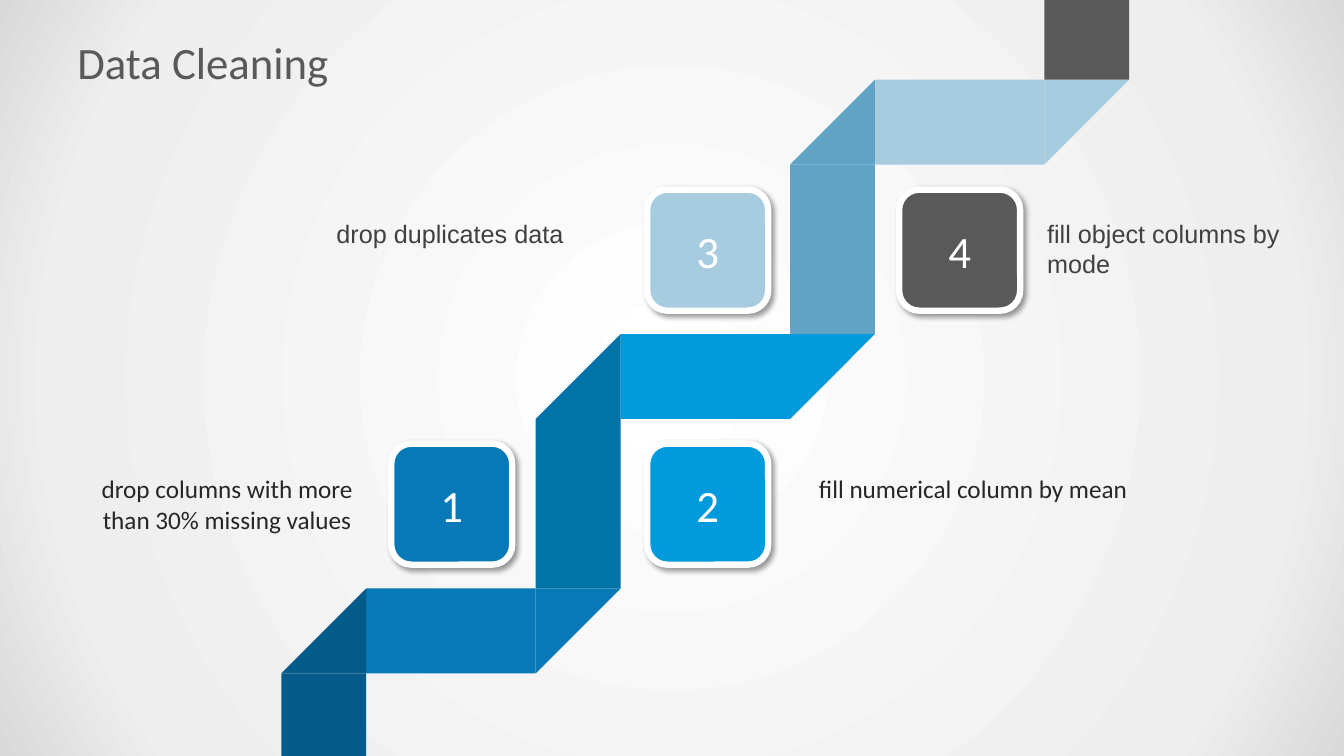
from dataclasses import dataclass

from pptx import Presentation
from pptx.dml.color import RGBColor
from pptx.enum.shapes import MSO_SHAPE as SHAPE
from pptx.enum.text import MSO_ANCHOR as ANCHOR, PP_ALIGN as ALIGN
from pptx.oxml import parse_xml
from pptx.oxml.ns import nsdecls, qn
from pptx.util import Cm, Pt


@dataclass(frozen=True)
class Theme:
    white: str = "FFFFFF"
    black: str = "000000"
    grey: str = "595959"
    ink: str = "262626"
    soft_ink: str = "404040"
    treads: tuple = ("0779B7", "019ADD", "A7CCDF")
    risers: tuple = ("055B89", "0173A6", "60A3C5")
    backdrop: tuple = ((0, "FFFFFF"), (81, "EEEEEE"), (100, "D9D9D9"))
    head_size: int = 32
    label_size: int = 18
    main_font: str = "Calibri"
    alt_font: str = "Arial"


THEME = Theme()
WIDTH, HEIGHT = 33.87, 19.05
BAND, STEP = 2.14, 6.41
STAIR_LEFT, STAIR_TOP = 7.09, 14.83
BADGE = 3.05


def set_backdrop(s):
    s.background.fill.gradient()
    stops = "".join(
        f'<a:gs pos="{pos * 1000}"><a:srgbClr val="{color}"/></a:gs>'
        for pos, color in THEME.backdrop
    )
    radial = parse_xml(
        f'<a:gradFill rotWithShape="1" {nsdecls("a")}><a:gsLst>{stops}</a:gsLst>'
        '<a:path path="circle"><a:fillToRect l="50000" t="50000" r="50000" b="50000"/>'
        "</a:path></a:gradFill>"
    )
    linear = s.element.find(".//" + qn("a:gradFill"))
    linear.getparent().replace(linear, radial)


def add_block(shapes, kind, x, y, w, h, color, flip=None):
    sp = shapes.add_shape(kind, Cm(x), Cm(y), Cm(w), Cm(h))
    sp.shadow.inherit = False
    sp.fill.solid()
    sp.fill.fore_color.rgb = RGBColor.from_string(color)
    sp.line.fill.background()
    if flip:
        sp.element.spPr.find(qn("a:xfrm")).set(flip, "1")
    return sp


def add_flight(s, x, y, tread, riser):
    run = STEP - BAND
    rise = min(run, HEIGHT - y - BAND)
    shapes = s.shapes.add_group_shape().shapes
    add_block(shapes, SHAPE.RECTANGLE, x + BAND, y, run, BAND, tread)
    add_block(shapes, SHAPE.RIGHT_TRIANGLE, x + STEP, y, BAND, BAND, tread, "flipV")
    shapes = s.shapes.add_group_shape().shapes
    add_block(shapes, SHAPE.RIGHT_TRIANGLE, x, y, BAND, BAND, riser, "flipH")
    add_block(shapes, SHAPE.RECTANGLE, x, y + BAND, BAND, rise, riser)


def add_staircase(s):
    for i, (tread, riser) in enumerate(zip(THEME.treads, THEME.risers)):
        add_flight(s, STAIR_LEFT + i * STEP, STAIR_TOP - i * STEP, tread, riser)
    add_block(s.shapes, SHAPE.RECTANGLE, STAIR_LEFT + 3 * STEP, 0,
              BAND, STAIR_TOP - 2 * STEP, THEME.grey)


def write(tf, text, size, color, font, align):
    p = tf.paragraphs[0]
    p.text = text
    p.alignment = align
    p.font.size = Pt(size)
    p.font.name = font
    p.font.color.rgb = RGBColor.from_string(color)


def add_badge(s, number, x, y, color):
    sp = add_block(s.shapes, SHAPE.ROUNDED_RECTANGLE, x, y, BADGE, BADGE, color)
    sp.line.color.rgb = RGBColor.from_string(THEME.white)
    sp.line.width = Pt(4.5)
    effects = sp.element.spPr.find(qn("a:effectLst"))
    effects.append(parse_xml(
        f'<a:outerShdw {nsdecls("a")} blurRad="{Pt(4)}" dist="{Pt(3)}" dir="2700000" '
        f'algn="tl" rotWithShape="0"><a:srgbClr val="{THEME.black}">'
        '<a:alpha val="40000"/></a:srgbClr></a:outerShdw>'
    ))
    sp.text_frame.vertical_anchor = ANCHOR.MIDDLE
    write(sp.text_frame, number, THEME.head_size, THEME.white,
          THEME.main_font, ALIGN.CENTER)


def add_text(s, text, x, y, w, h, size, color, font, align=ALIGN.LEFT):
    tf = s.shapes.add_textbox(Cm(x), Cm(y), Cm(w), Cm(h)).text_frame
    tf.word_wrap = True
    write(tf, text, size, color, font, align)


def main():
    prs = Presentation()
    prs.slide_width, prs.slide_height = Cm(WIDTH), Cm(HEIGHT)
    s = prs.slides.add_slide(prs.slide_layouts[6])
    set_backdrop(s)
    add_staircase(s)

    badges = [
        ("1", 9.86, 11.18, THEME.treads[0]),
        ("2", 16.31, 11.18, THEME.treads[1]),
        ("3", 16.31, 4.78, THEME.treads[2]),
        ("4", 22.66, 4.78, THEME.grey),
    ]
    for badge in badges:
        add_badge(s, *badge)

    lower = (THEME.label_size, THEME.ink, THEME.main_font, ALIGN.CENTER)
    upper = (THEME.label_size, THEME.soft_ink, THEME.alt_font)
    labels = [
        ("drop columns with more than 30% missing values", 1.93, 11.81, 7.59, 1.8, lower),
        ("fill numerical column by mean", 19.84, 11.81, 9.37, 1.02, lower),
        ("drop duplicates data", 8.23, 5.38, 7.59, 1.02, upper),
        ("fill object columns by mode", 26.14, 5.38, 7.72, 1.8, upper),
    ]
    for text, x, y, w, h, style in labels:
        add_text(s, text, x, y, w, h, *style)

    add_text(s, "Data Cleaning", 1.7, 0.76, 30.48, 1.98,
             THEME.head_size, THEME.grey, THEME.main_font)
    prs.save("out.pptx")


if __name__ == "__main__":
    main()
